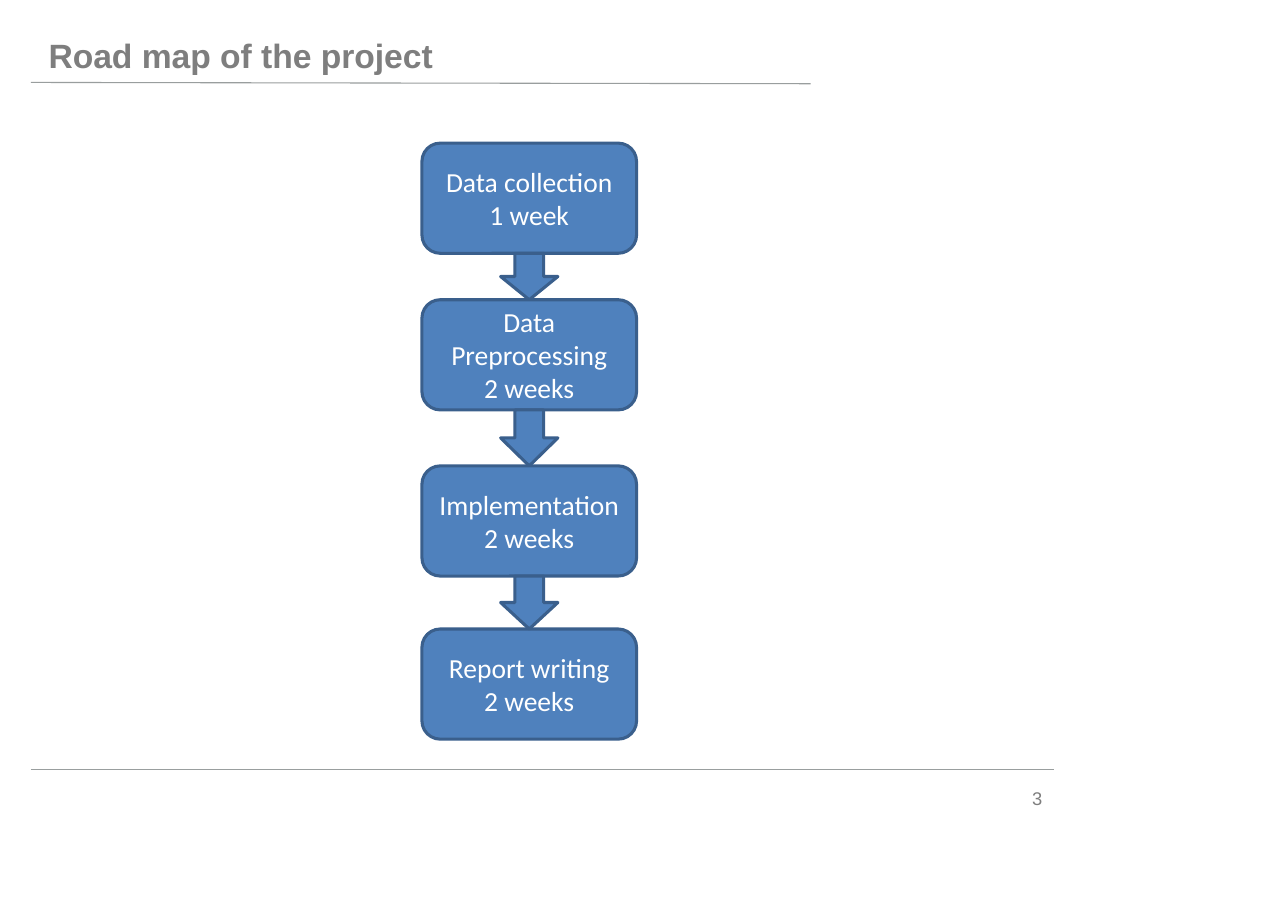
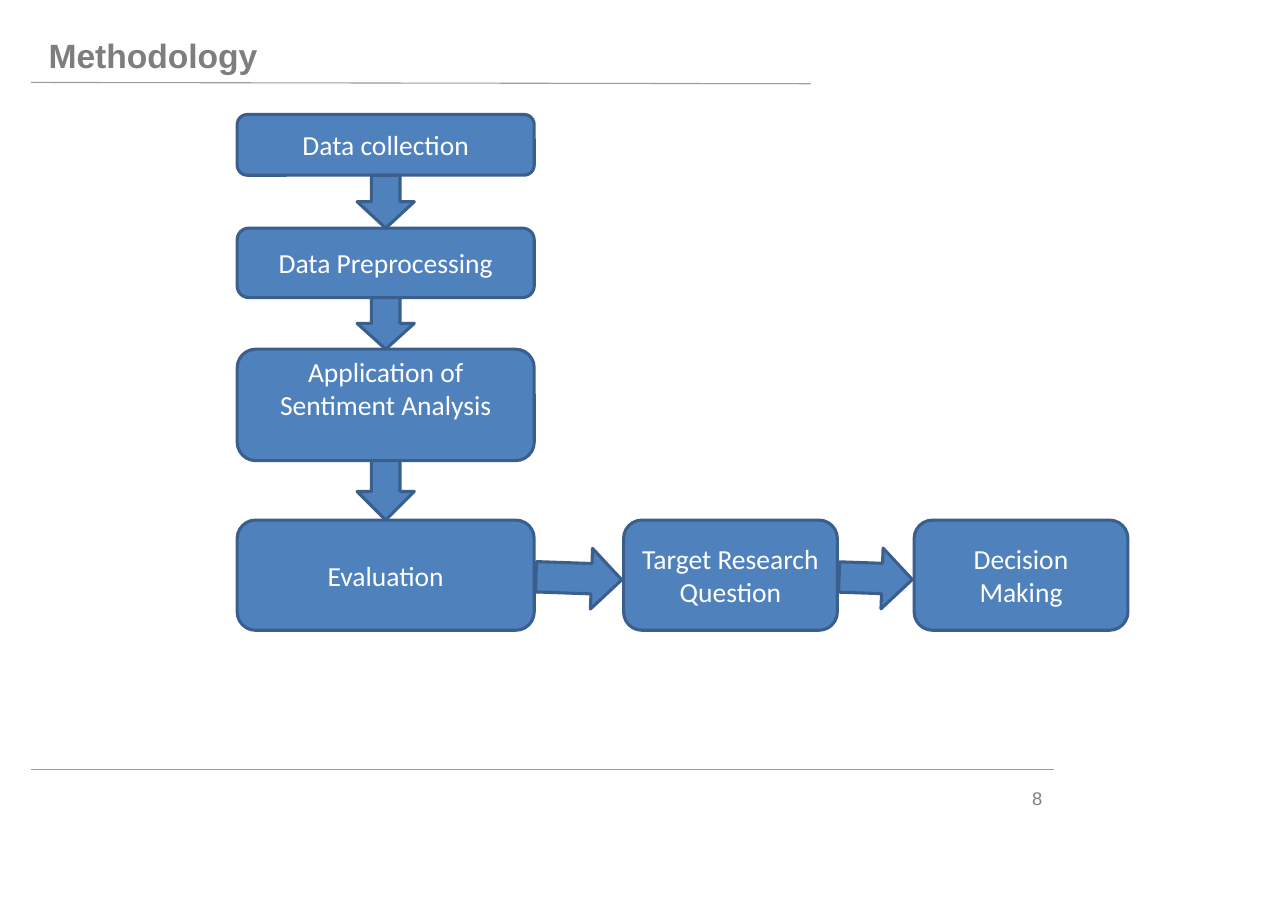
from lxml.etree import SubElement
from pptx import Presentation
from pptx.dml.color import RGBColor
from pptx.enum.shapes import MSO_CONNECTOR, MSO_SHAPE
from pptx.enum.text import MSO_ANCHOR, MSO_AUTO_SIZE, PP_ALIGN
from pptx.oxml.ns import qn
from pptx.util import Cm, Pt

COLORS = {
    "step": "4F81BD",
    "outline": "3A5F8C",
    "step_text": "FFFFFF",
    "rule": "999E9E",
    "heading": "7E7E7E",
}
RULES = [(0.71, 1.9, 18.69, 1.93), (0.71, 17.73, 24.31, 17.73)]
STEP_HEIGHT = 2.54
ROADMAP_LEFT, ROADMAP_WIDTH = 9.73, 4.95
ROADMAP = [
    (3.3, "Data collection\n1 week"),
    (6.91, "Data Preprocessing\n2 weeks"),
    (10.74, "Implementation\n2 weeks"),
    (14.5, "Report\u00a0writing\n2 weeks"),
]
METHOD_LEFT, METHOD_WIDTH = 5.47, 6.85
METHOD = [
    (2.64, 1.4, "Data collection"),
    (5.26, 1.6, "Data Preprocessing"),
    (8.05, 2.57, "Application of Sentiment Analysis"),
    (11.99, STEP_HEIGHT, "Evaluation"),
]
OUTCOME_TOP, OUTCOME_WIDTH = 11.99, 4.93
OUTCOMES = [(14.38, "Target Research\nQuestion"), (21.08, "Decision\nMaking")]


def rgb(part):
    return RGBColor.from_string(COLORS[part])


def format_text(frame, font_name, size, color, align, bold=False):
    for paragraph in frame.paragraphs:
        paragraph.alignment = align
        for run in paragraph.runs:
            run.font.name = font_name
            run.font.size = Pt(size)
            run.font.bold = bold
            run.font.color.rgb = rgb(color)


def clear_margins(frame):
    frame.margin_left = frame.margin_right = 0
    frame.margin_top = frame.margin_bottom = 0
    frame.vertical_anchor = MSO_ANCHOR.TOP
    frame.auto_size = MSO_AUTO_SIZE.NONE
    frame.word_wrap = True


def add_rule(slide, x1, y1, x2, y2):
    rule = slide.shapes.add_connector(
        MSO_CONNECTOR.STRAIGHT, Cm(x1), Cm(y1), Cm(x2), Cm(y2))
    rule.line.color.rgb = rgb("rule")
    rule.line.width = Pt(0.72)
    SubElement(rule.element.spPr, qn("a:effectLst"))


def add_page_number(slide, number):
    page = slide.shapes.add_textbox(Cm(23.7), Cm(18.16), Cm(0.46), Cm(0.53))
    frame = page.text_frame
    clear_margins(frame)
    frame.margin_left = Cm(0.1)
    frame.text = str(number)
    frame.paragraphs[0].line_spacing = Pt(14.2)
    format_text(frame, "Arial", 12, "heading", PP_ALIGN.LEFT)


def add_titled_slide(deck, heading, number):
    slide = deck.slides.add_slide(deck.slide_layouts[5])
    for rule in RULES:
        add_rule(slide, *rule)
    add_page_number(slide, number)
    title = slide.shapes.title
    title.left, title.top = Cm(1.12), Cm(0.81)
    title.width, title.height = Cm(27.46), Cm(0.94)
    clear_margins(title.text_frame)
    title.text_frame.text = heading
    format_text(title.text_frame, "Arial", 22, "heading", PP_ALIGN.LEFT, bold=True)
    return slide


def paint(shape):
    shape.shadow.inherit = False
    shape.fill.solid()
    shape.fill.fore_color.rgb = rgb("step")
    shape.line.color.rgb = rgb("outline")
    shape.line.width = Pt(2)


def add_step(slide, left, top, width, height, label):
    step = slide.shapes.add_shape(
        MSO_SHAPE.ROUNDED_RECTANGLE, Cm(left), Cm(top), Cm(width), Cm(height))
    paint(step)
    frame = step.text_frame
    frame.word_wrap = True
    frame.vertical_anchor = MSO_ANCHOR.MIDDLE
    frame.text = label
    format_text(frame, "Calibri", 18, "step_text", PP_ALIGN.CENTER)
    return step


def add_arrow(slide, center_x, center_y, width, length, rotation=0):
    arrow = slide.shapes.add_shape(
        MSO_SHAPE.DOWN_ARROW, int(center_x - width / 2),
        int(center_y - length / 2), width, length)
    arrow.rotation = rotation
    paint(arrow)


def link_down(slide, steps):
    for upper, lower in zip(steps, steps[1:]):
        bottom = upper.top + upper.height
        add_arrow(slide, upper.left + upper.width / 2,
                  (bottom + lower.top) / 2, Cm(1.32), lower.top - bottom)


def link_across(slide, steps):
    for source, target in zip(steps, steps[1:]):
        right = source.left + source.width
        add_arrow(slide, (right + target.left) / 2,
                  source.top + source.height / 2 + Cm(0.07),
                  Cm(1.4), target.left - right - Cm(0.08), rotation=272)


def build_roadmap(deck):
    slide = add_titled_slide(deck, "Road map of the project", 3)
    steps = [add_step(slide, ROADMAP_LEFT, top, ROADMAP_WIDTH, STEP_HEIGHT, label)
             for top, label in ROADMAP]
    link_down(slide, steps)


def build_methodology(deck):
    slide = add_titled_slide(deck, "Methodology", 8)
    steps = [add_step(slide, METHOD_LEFT, top, METHOD_WIDTH, height, label)
             for top, height, label in METHOD]
    analysis, evaluation = steps[2:]
    analysis.text_frame.margin_bottom = Cm(0.9)
    outcomes = [add_step(slide, left, OUTCOME_TOP, OUTCOME_WIDTH, STEP_HEIGHT, label)
                for left, label in OUTCOMES]
    link_down(slide, steps)
    link_across(slide, [evaluation, *outcomes])


def main():
    deck = Presentation()
    deck.slide_width, deck.slide_height = Cm(29.7), Cm(21)
    build_roadmap(deck)
    build_methodology(deck)
    deck.save("out.pptx")


main()
